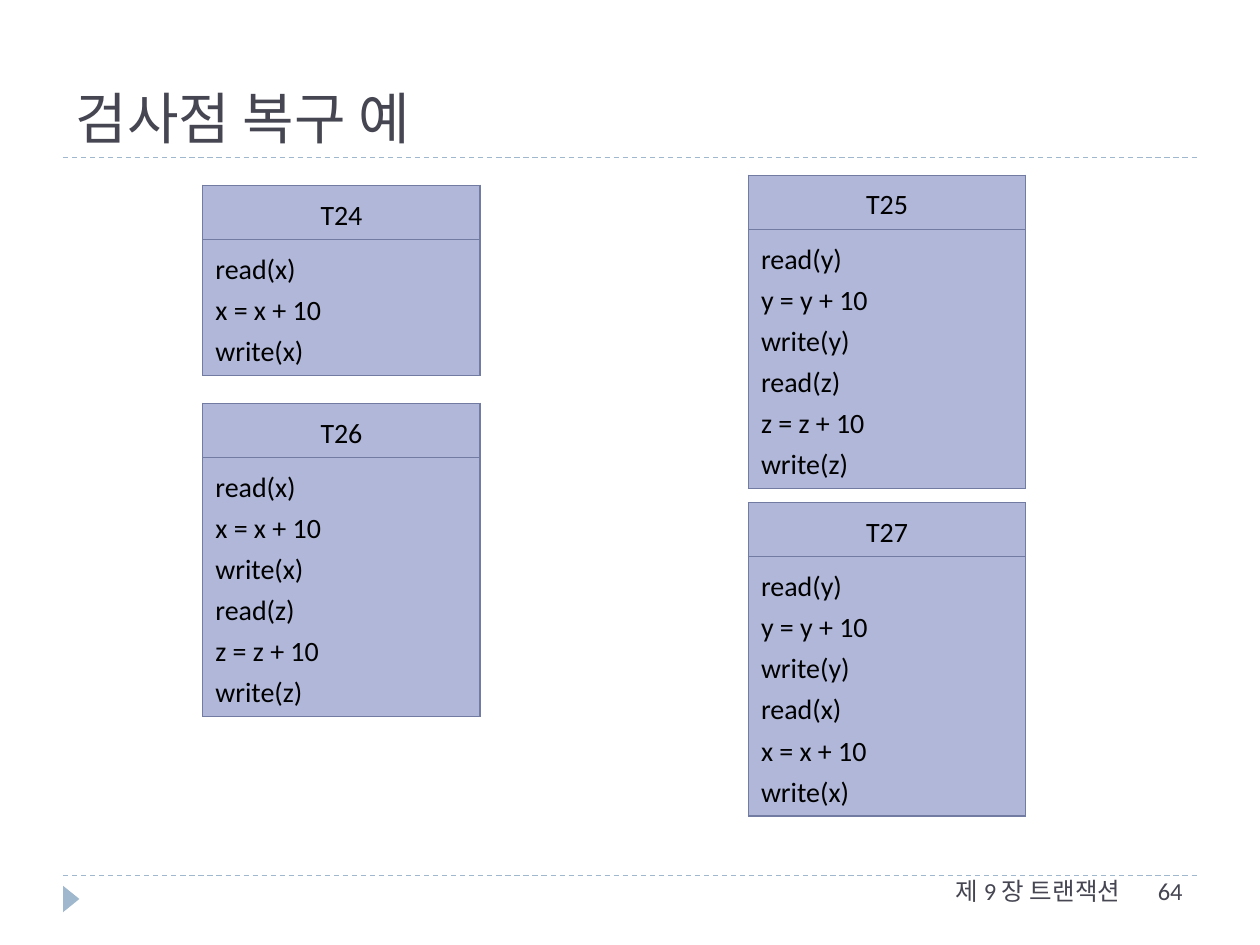
from lxml import etree
from pptx import Presentation
from pptx.dml.color import RGBColor
from pptx.enum.dml import MSO_LINE_DASH_STYLE as DASH
from pptx.enum.shapes import MSO_CONNECTOR, MSO_SHAPE
from pptx.enum.text import MSO_ANCHOR, PP_ALIGN
from pptx.oxml import parse_xml
from pptx.oxml.ns import nsdecls, qn
from pptx.util import Inches, Pt

INK = RGBColor(0x46, 0x46, 0x53)
BLACK = RGBColor(0x00, 0x00, 0x00)
ACCENT = RGBColor(0x9F, 0xB8, 0xCD)
BORDER = RGBColor(0x72, 0x7C, 0xA3)
CELL = RGBColor(0xB0, 0xB7, 0xD8)


def format_paragraph(paragraph, size, color, align, name="Calibri"):
    paragraph.alignment = align
    paragraph.font.name = name
    paragraph.font.size = Pt(size)
    paragraph.font.color.rgb = color


def fill_cell(cell, lines, align):
    cell.text = "\n".join(lines)
    cell.fill.solid()
    cell.fill.fore_color.rgb = CELL
    for paragraph in cell.text_frame.paragraphs:
        format_paragraph(paragraph, 16, BLACK, align)
        paragraph.line_spacing = 1.2
    properties = cell._tc.get_or_add_tcPr()
    for index, side in enumerate(("lnL", "lnR", "lnT", "lnB")):
        properties.insert(index, parse_xml(
            f'<a:{side} {nsdecls("a")} w="{Pt(0.75)}"><a:solidFill>'
            f'<a:srgbClr val="{BORDER}"/></a:solidFill></a:{side}>'))


presentation = Presentation()
presentation.slide_width = Inches(10)
presentation.slide_height = Inches(7.5)
slide = presentation.slides.add_slide(presentation.slide_layouts[5])

# Dashed rules under the title and above the footer
for y in (6.95, 1.25):
    rule = slide.shapes.add_connector(
        MSO_CONNECTOR.STRAIGHT, Inches(0.5), Inches(y), Inches(9.5), Inches(y))
    rule.line.color.rgb = ACCENT
    rule.line.width = Pt(0.75)
    rule.line.dash_style = DASH.DASH
    etree.SubElement(rule._element.spPr, qn("a:effectLst"))

# Footer marker
marker = slide.shapes.add_shape(
    MSO_SHAPE.ISOSCELES_TRIANGLE, Inches(0.46), Inches(7.07), Inches(0.21), Inches(0.13))
marker.rotation = 90
marker.shadow.inherit = False
marker.fill.solid()
marker.fill.fore_color.rgb = ACCENT
marker.line.fill.background()

# Title
title = slide.shapes.title
title.left, title.top = Inches(0.5), Inches(0.17)
title.width, title.height = Inches(9), Inches(1.08)
title.text_frame.text = "검사점 복구 예"
title.text_frame.vertical_anchor = MSO_ANCHOR.BOTTOM
format_paragraph(title.text_frame.paragraphs[0], 32, INK, PP_ALIGN.LEFT, "Arial")

# Transactions: name, left, top, variables updated in order
transactions = [
    ("T24", 1.61, 1.47, "x"),
    ("T25", 5.94, 1.39, "yz"),
    ("T26", 1.61, 3.2, "xz"),
    ("T27", 5.94, 3.99, "yx"),
]
for name, left, top, variables in transactions:
    steps = [step for v in variables
             for step in (f"read({v})", f"{v} = {v} + 10", f"write({v})")]
    header_height = Inches(0.43)
    body_height = Inches(0.1 + 0.325 * len(steps))
    table = slide.shapes.add_table(
        2, 1, Inches(left), Inches(top), Inches(2.2), header_height + body_height).table
    table.rows[0].height = header_height
    table.rows[1].height = body_height
    fill_cell(table.cell(0, 0), [name], PP_ALIGN.CENTER)
    fill_cell(table.cell(1, 0), steps, PP_ALIGN.JUSTIFY)

# Footer: chapter and page number
for text, left, width, align in (
        ("제 9 장 트랜잭션", 5.19, 3.8, PP_ALIGN.RIGHT),
        ("64", 9.09, 0.71, PP_ALIGN.LEFT)):
    box = slide.shapes.add_textbox(Inches(left), Inches(6.9), Inches(width), Inches(0.4))
    box.text_frame.word_wrap = True
    box.text_frame.text = text
    format_paragraph(box.text_frame.paragraphs[0], 14, INK, align)

presentation.save("out.pptx")
